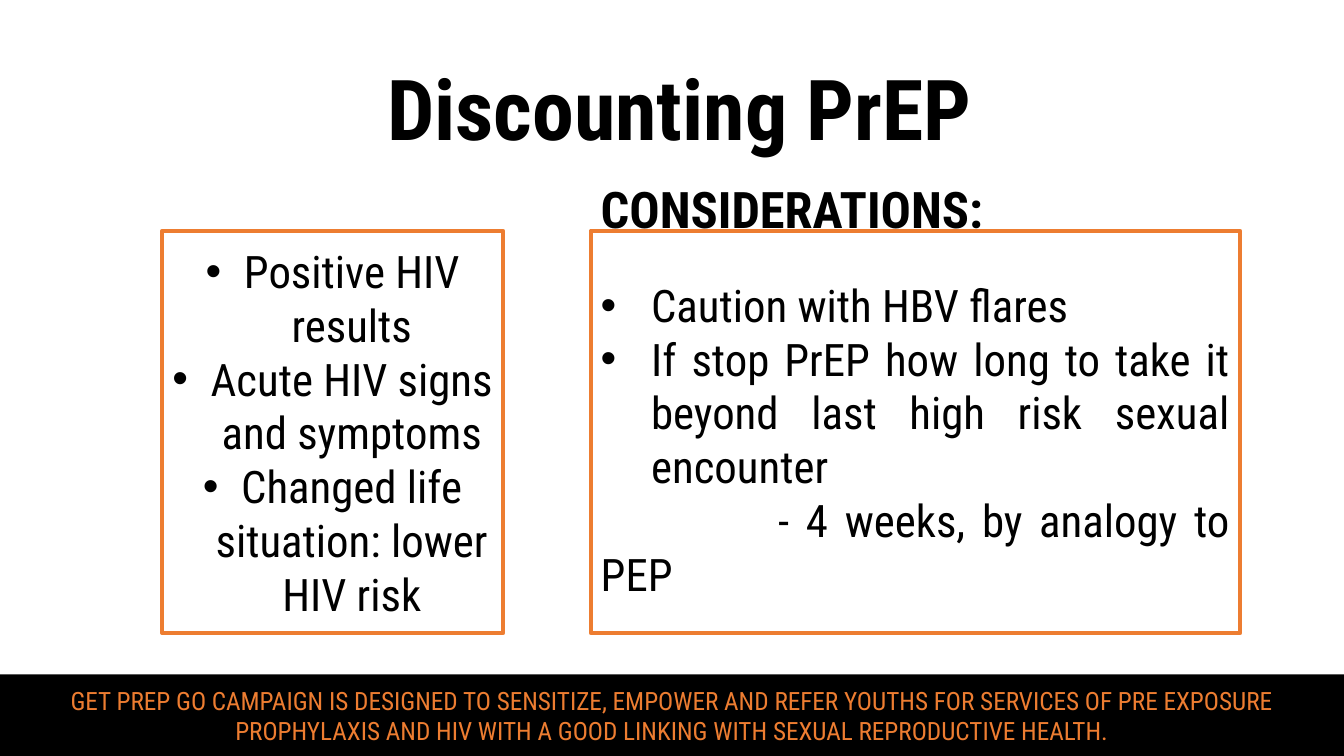
from dataclasses import dataclass

from lxml.etree import SubElement
from pptx import Presentation
from pptx.dml.color import RGBColor as Rgb
from pptx.enum.shapes import MSO_SHAPE as Shape
from pptx.enum.text import MSO_ANCHOR as Anchor, PP_ALIGN as Align
from pptx.oxml.ns import qn
from pptx.util import Inches, Pt

FONT = "Roboto Condensed"
COLORS = {"black": "000000", "orange": "ED7D31"}


@dataclass
class Para:
    text: str
    size: int = 32
    bold: bool = False
    hang: float = 0  # bullet with hanging indent, inches
    first: float = 0  # first-line indent, inches
    after: int = 0  # space after, points
    lead: float = 1.0  # line spacing


@dataclass
class Panel:
    left: float
    top: float
    width: float
    height: float
    paras: list[Para]
    align: Align = Align.CENTER
    ink: str = "black"
    fill: str = ""
    line: str = ""
    low: float = 0.05  # bottom inset, inches


def color(name: str) -> Rgb:
    return Rgb.from_string(COLORS[name])


def indent(item, para: Para) -> None:
    props = item._p.get_or_add_pPr()
    if para.hang:
        props.set("marL", str(Inches(para.hang)))
        props.set("indent", str(-Inches(para.hang)))
        SubElement(props, qn("a:buFont")).set("typeface", "Arial")
        SubElement(props, qn("a:buChar")).set("char", "•")
    elif para.first:
        props.set("indent", str(Inches(para.first)))


def draw(slide, panel: Panel) -> None:
    place = [Inches(n) for n in (panel.left, panel.top, panel.width, panel.height)]
    if panel.fill or panel.line:
        box = slide.shapes.add_shape(Shape.RECTANGLE, *place)
        box.shadow.inherit = False
        if panel.fill:
            box.fill.solid()
            box.fill.fore_color.rgb = color(panel.fill)
        else:
            box.fill.background()
        if panel.line:
            box.line.color.rgb = color(panel.line)
            box.line.width = Pt(3)
        else:
            box.line.fill.background()
    else:
        box = slide.shapes.add_textbox(*place)

    frame = box.text_frame
    frame.word_wrap = True
    frame.vertical_anchor = Anchor.MIDDLE
    frame.margin_bottom = Inches(panel.low)
    frame.text = "\n".join(para.text for para in panel.paras)
    for item, para in zip(frame.paragraphs, panel.paras):
        item.alignment = panel.align
        item.line_spacing = para.lead
        item.space_after = Pt(para.after)
        indent(item, para)
        for run in item.runs:
            run.font.name = FONT
            run.font.size = Pt(para.size)
            run.font.bold = para.bold
            run.font.color.rgb = color(panel.ink)


# Title and footer
title = Panel(0.8, 0.4, 11.88, 1.45,
              [Para("Discounting PrEP", 60, True, lead=0.9)])
footer = Panel(0, 6.69, 13.33, 0.81, [Para(
    "GET PREP GO CAMPAIGN IS DESIGNED TO SENSITIZE, EMPOWER AND REFER YOUTHS "
    "FOR SERVICES OF PRE EXPOSURE PROPHYLAXIS AND HIV WITH A GOOD LINKING "
    "WITH SEXUAL REPRODUCTIVE HEALTH.", 18)], ink="orange", fill="black")

# Framed lists
TOP, HEIGHT = 2.29, 3.99
reasons = Panel(1.61, TOP, 3.38, HEIGHT, [
    Para(text, hang=0.38) for text in (
        "Positive HIV results",
        "Acute HIV signs and symptoms",
        "Changed life situation: lower HIV risk",
    )], line="orange")
advice = Panel(5.86, TOP, 6.44, HEIGHT, [
    Para("CONSIDERATIONS:", 36, True, after=28),
    Para("Caution with HBV flares", hang=0.5),
    Para("If stop PrEP how long to take it beyond last high risk sexual encounter",
         hang=0.5),
    Para("- 4 weeks, by analogy to PEP", first=1.76),
], align=Align.JUSTIFY, line="orange", low=0.9)

# Slide
deck = Presentation()
deck.slide_width, deck.slide_height = Inches(13.33), Inches(7.5)
page = deck.slides.add_slide(deck.slide_layouts[6])
for panel in (title, footer, reasons, advice):
    draw(page, panel)
deck.save("out.pptx")
